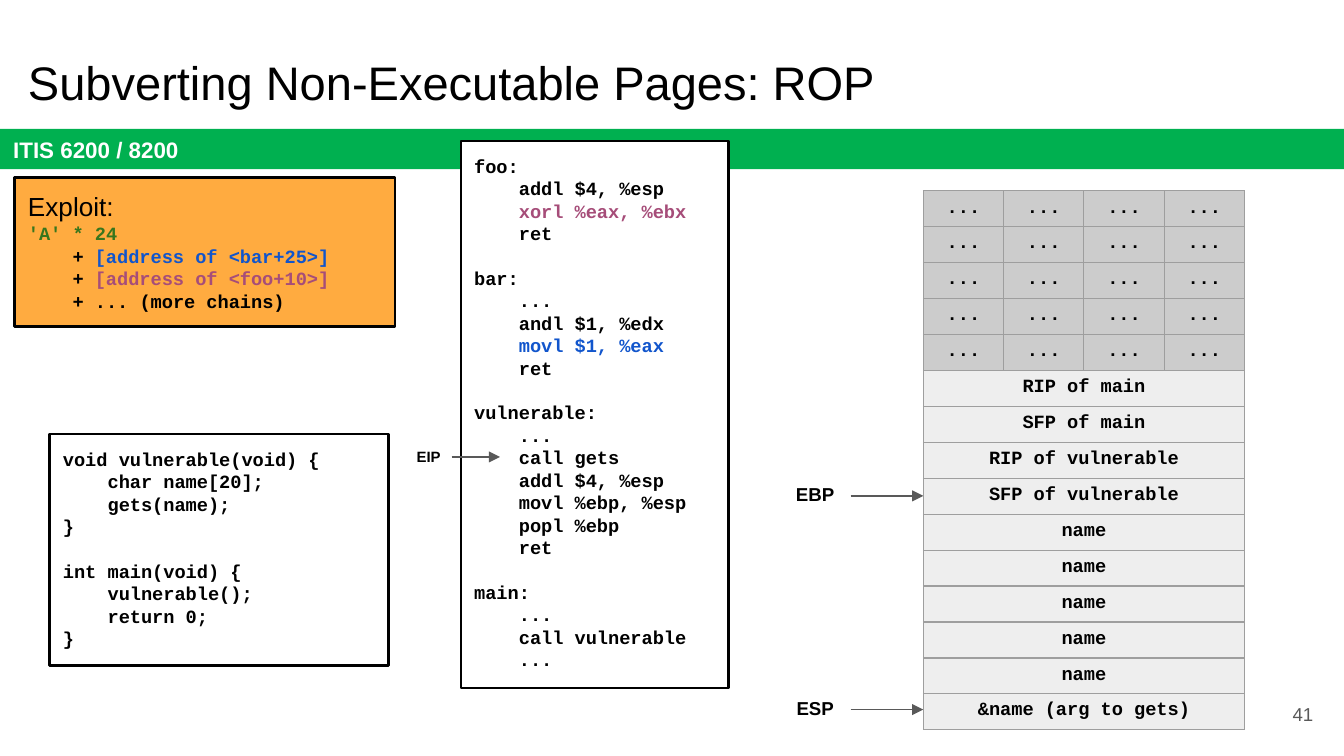
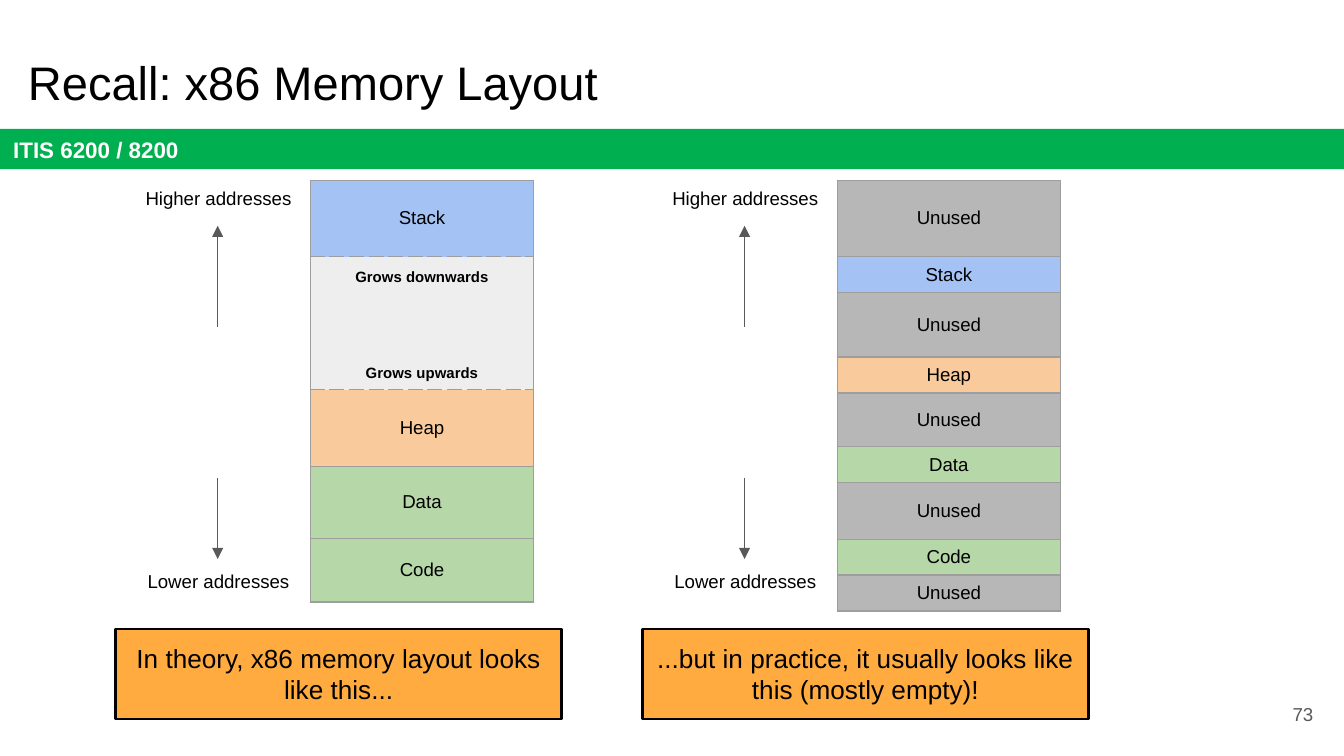
from lxml import etree
from pptx import Presentation
from pptx.dml.color import RGBColor
from pptx.enum.shapes import MSO_CONNECTOR, MSO_SHAPE
from pptx.enum.text import MSO_ANCHOR, PP_ALIGN
from pptx.oxml.ns import qn
from pptx.util import Inches, Pt

LEFT, CENTER, RIGHT = PP_ALIGN.LEFT, PP_ALIGN.CENTER, PP_ALIGN.RIGHT
TOP, MIDDLE = MSO_ANCHOR.TOP, MSO_ANCHOR.MIDDLE
RECT, STRAIGHT = MSO_SHAPE.RECTANGLE, MSO_CONNECTOR.STRAIGHT

# Widescreen page, 16:9
PAGE_WIDTH = Inches(10)
PAGE_HEIGHT = PAGE_WIDTH * 9 // 16

COLORS = {
    "black": "000000", "white": "FFFFFF", "band": "00B050", "callout": "FFAB40",
    "arrow": "595959", "border": "9E9E9E", "caller": "CCCCCC", "frame": "EEEEEE",
    "blue": "1155CC", "plum": "A64D79", "green": "38761D",
    "Stack": "A4C2F4", "Heap": "F9CB9C", "Data": "B6D7A8", "Code": "B6D7A8",
    "Unused": "B7B7B7", "": "EEEEEE",
}
# Text styles: font, size, bold, colour
STYLES = {
    "title": ("Arial", 25.2, False, "black"),
    "band": ("Arial", 12, True, "white"),
    "number": ("Arial", 10, False, "arrow"),
    "callout": ("Arial", 14, False, "black"),
    "label": ("Arial", 10, False, "black"),
    "register": ("Arial", 10, True, "black"),
    "small": ("Arial", 8, True, "black"),
    "code": ("Courier New", 10, True, "black"),
}
CODE_GAP = 12

# ROP slide content: code is a list of blocks, a line is text or coloured runs
ROP_TITLE = "Subverting Non-Executable Pages: ROP"
EXPLOIT = [[
    "Exploit:",
    [("'A' * 24", "green")],
    [("    + ", "black"), ("[address of <bar+25>]", "blue")],
    [("    + ", "black"), ("[address of <foo+10>]", "plum")],
    "    + ... (more chains)",
]]
ASSEMBLY = [
    ["foo:", "    addl $4, %esp", [("    xorl %eax, %ebx", "plum")], "    ret"],
    ["bar:", "    ...", "    andl $1, %edx", [("    movl $1, %eax", "blue")],
     "    ret"],
    ["vulnerable:", "    ...", "    call gets", "    addl $4, %esp",
     "    movl %ebp, %esp", "    popl %ebp", "    ret"],
    ["main:", "    ...", "    call vulnerable", "    ..."],
]
C_SOURCE = [
    ["void vulnerable(void) {", "    char name[20];", "    gets(name);", "}"],
    ["int main(void) {", "    vulnerable();", "    return 0;", "}"],
]
CALLER_ROWS, STACK_COLS = 5, 4
STACK_FRAME = ["RIP of main", "SFP of main", "RIP of vulnerable",
               "SFP of vulnerable"] + ["name"] * 5 + ["&name (arg to gets)"]
REGISTERS = [("EBP", 3.69), ("ESP", 5.28)]

# Memory layout slide content: segment name and height
MEMORY_TITLE = "Recall: x86 Memory Layout"
THEORY = [("Stack", 0.57), ("", 0.99), ("Heap", 0.57), ("Data", 0.54),
          ("Code", 0.47)]
PRACTICE = [("Unused", 0.57), ("Stack", 0.26), ("Unused", 0.48), ("Heap", 0.26),
            ("Unused", 0.4), ("Data", 0.26), ("Unused", 0.42), ("Code", 0.26),
            ("Unused", 0.26)]
# Segments, indexes of rows with a dashed lower edge, caption
LAYOUTS = [
    (THEORY, {0, 1}, "In theory, x86 memory layout looks like this..."),
    (PRACTICE, set(),
     "...but in practice, it usually looks like this (mostly empty)!"),
]
LAYOUT_STEP = 3.92
GROWTH = [("Grows downwards", 1.94), ("Grows upwards", 2.66)]
# Label, label top, arrow start, arrow end
DIRECTIONS = [("Higher addresses", 1.31, 2.43, 1.68),
              ("Lower addresses", 4.16, 3.56, 4.16)]


def rgb(name):
    return RGBColor.from_string(COLORS[name])


def set_style(p, style, align=LEFT):
    name, size, bold, color = STYLES[style]
    p.alignment = align
    p.font.name, p.font.size, p.font.bold = name, Pt(size), bold
    p.font.color.rgb = rgb(color)


def write(tf, blocks, style, align=LEFT):
    """Fill a text frame with blocks of lines, with a gap between blocks."""
    p = None
    for block in blocks:
        for i, line in enumerate(block):
            first = p is None
            p = tf.paragraphs[0] if first else tf.add_paragraph()
            if i == 0 and not first:
                p.space_before = Pt(CODE_GAP)
            set_style(p, style, align)
            if isinstance(line, str):
                p.add_run().text = line
                continue
            for text, color in line:
                r = p.add_run()
                r.text = text
                r.font.color.rgb = rgb(color)


def add_text(slide, box, blocks, style, align=LEFT, anchor=TOP, inset=0.1,
             fill=None, line=None):
    """Add a text box, or a rectangle when a fill is given."""
    at = [Inches(v) for v in box]
    if fill:
        s = slide.shapes.add_shape(RECT, *at)
        s.shadow.inherit = False
        s.fill.solid()
        s.fill.fore_color.rgb = rgb(fill)
        if line:
            s.line.color.rgb = rgb(line)
            s.line.width = Pt(1.5)
        else:
            s.line.fill.background()
    else:
        s = slide.shapes.add_textbox(*at)
    tf = s.text_frame
    tf.word_wrap = True
    tf.vertical_anchor = anchor
    tf.margin_left = tf.margin_right = Inches(inset)
    tf.margin_top = tf.margin_bottom = Inches(inset)
    if isinstance(blocks, str):
        blocks = [[blocks]]
    write(tf, blocks, style, align)
    return s


def add_arrow(slide, x1, y1, x2, y2):
    c = slide.shapes.add_connector(STRAIGHT, *[Inches(v) for v in (x1, y1, x2, y2)])
    c.line.color.rgb = rgb("arrow")
    c.line.width = Pt(0.75)
    sp_pr = c._element.spPr
    etree.SubElement(sp_pr.find(qn("a:ln")), qn("a:tailEnd"), type="triangle")
    etree.SubElement(sp_pr, qn("a:effectLst"))


def add_grid(slide, x, y, width, heights, cols):
    rows = len(heights)
    frame = slide.shapes.add_table(rows, cols, Inches(x), Inches(y),
                                   Inches(width), Inches(sum(heights)))
    table = frame.table
    table.first_row = table.horz_banding = False
    for row, height in zip(table.rows, heights):
        row.height = Inches(height)
    return table


def set_cell(cell, text, fill, style, anchor, dashed=""):
    """Style a cell; dashed lists the edges (T, B) drawn with dashes."""
    tc_pr = cell._tc.get_or_add_tcPr()
    for edge in "LRTB":
        ln = etree.SubElement(tc_pr, qn("a:ln" + edge), w=str(Pt(0.75)))
        paint = etree.SubElement(ln, qn("a:solidFill"))
        etree.SubElement(paint, qn("a:srgbClr"), val=COLORS["border"])
        etree.SubElement(ln, qn("a:prstDash"),
                         val="dash" if edge in dashed else "solid")
    cell.fill.solid()
    cell.fill.fore_color.rgb = rgb(fill)
    cell.margin_left = cell.margin_right = Inches(0.05)
    cell.margin_top = cell.margin_bottom = Inches(0.05)
    cell.vertical_anchor = anchor
    if text:
        write(cell.text_frame, [[text]], style, CENTER)


def new_slide(prs, title, number):
    slide = prs.slides.add_slide(prs.slide_layouts[6])
    add_text(slide, (0, 0.96, 10, 0.3), "ITIS 6200 / 8200", "band",
             anchor=MIDDLE, fill="band")
    add_text(slide, (0.11, 0.3, 9.32, 0.63), title, "title")
    add_text(slide, (9.27, 5.1, 0.6, 0.43), number, "number", RIGHT, MIDDLE)
    return slide


def build_rop(prs):
    slide = new_slide(prs, ROP_TITLE, "41")

    # Registers pointing into the stack
    for name, y in REGISTERS:
        add_text(slide, (5.8, y - 0.18, 0.53, 0.37), name, "register", CENTER)
        add_arrow(slide, 6.33, y, 6.87, y)

    # Stack
    rows = CALLER_ROWS + len(STACK_FRAME)
    table = add_grid(slide, 6.87, 1.42, 2.39, [4 / rows] * rows, STACK_COLS)
    for i in range(rows):
        in_caller = i < CALLER_ROWS
        if not in_caller:
            table.cell(i, 0).merge(table.cell(i, STACK_COLS - 1))
        for j in range(STACK_COLS):
            if in_caller:
                text, fill = "...", "caller"
            else:
                text = STACK_FRAME[i - CALLER_ROWS] if j == 0 else ""
                fill = "frame"
            set_cell(table.cell(i, j), text, fill, "code", TOP)

    # Exploit and code
    s = add_text(slide, (0.11, 1.32, 2.83, 1.11), EXPLOIT, "code",
                 fill="callout", line="black")
    set_style(s.text_frame.paragraphs[0], "callout")
    for box, code in [((3.43, 1.05, 1.99, 4.07), ASSEMBLY),
                      ((0.37, 3.23, 2.52, 1.72), C_SOURCE)]:
        add_text(slide, box, code, "code", fill="white", line="black")

    # Instruction pointer
    add_text(slide, (3.02, 3.28, 0.34, 0.24), "EIP", "small", CENTER, inset=0.05)
    add_arrow(slide, 3.36, 3.4, 3.72, 3.4)


def build_memory(prs):
    slide = new_slide(prs, MEMORY_TITLE, "73")
    for n, (segments, dashed_after, caption) in enumerate(LAYOUTS):
        dx = n * LAYOUT_STEP

        # Address directions
        for label, top, start, end in DIRECTIONS:
            add_arrow(slide, 1.62 + dx, start, 1.62 + dx, end)
            add_text(slide, (0.94 + dx, top, 1.37, 0.37), label, "label", CENTER)

        # Segments and caption
        heights = [height for _, height in segments]
        table = add_grid(slide, 2.31 + dx, 1.34, 1.66, heights, 1)
        for i, (name, _) in enumerate(segments):
            dashed = ("T" if i - 1 in dashed_after else "") + (
                "B" if i in dashed_after else "")
            set_cell(table.cell(i, 0), name, name, "label", MIDDLE, dashed)
        add_text(slide, (0.86 + dx, 4.68, 3.32, 0.67), caption, "callout", CENTER,
                 fill="callout", line="black")

    # Growth labels
    for label, top in GROWTH:
        add_text(slide, (2.58, top, 1.12, 0.24), label, "small", CENTER, inset=0.05)


def main():
    prs = Presentation()
    prs.slide_width, prs.slide_height = PAGE_WIDTH, PAGE_HEIGHT
    build_rop(prs)
    build_memory(prs)
    prs.save("out.pptx")


if __name__ == "__main__":
    main()
